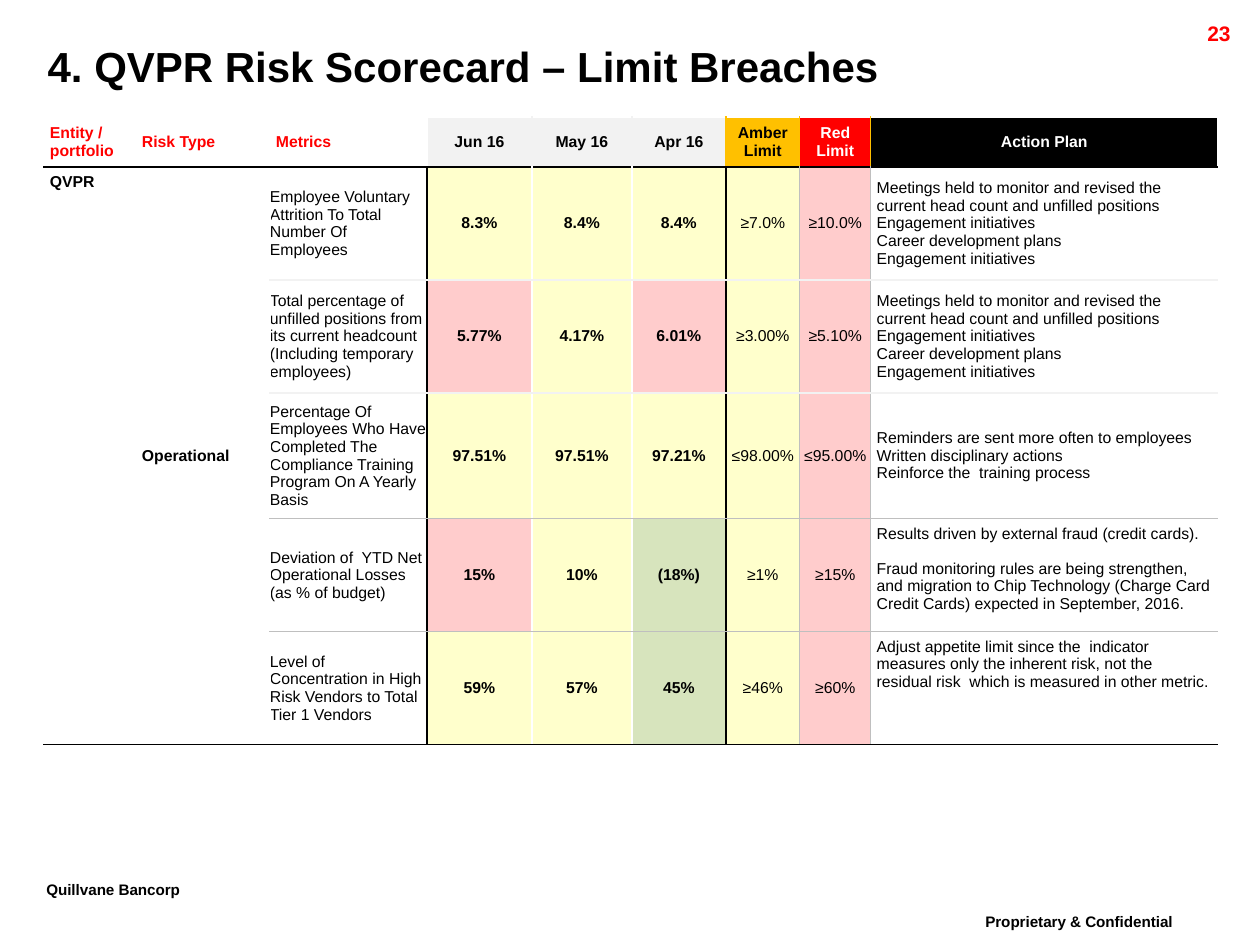
from typing import NamedTuple, Optional

from lxml import etree
from pptx import Presentation
from pptx import util as u
from pptx.dml.color import RGBColor
from pptx.enum import text
from pptx.oxml.ns import qn

SCALE = 914400 / 126
FONT = "Arial"
BLACK, WHITE, RED = "000000", "FFFFFF", "FF0000"
GREY, PALE, GOLD = "BFBFBF", "F2F2F2", "FFC000"
YELLOW, PINK, GREEN = "FFFFCC", "FFCCCC", "D7E4BD"
LEFT, CENTER, RIGHT = text.PP_ALIGN.LEFT, text.PP_ALIGN.CENTER, text.PP_ALIGN.RIGHT
TOP, MIDDLE = text.MSO_ANCHOR.TOP, text.MSO_ANCHOR.MIDDLE
COLUMNS = [92, 134, 157, 105, 100, 94, 74, 71, 347]
ROWS = [47, 50, 113, 113, 126, 113, 113]


class Line(NamedTuple):
    color: Optional[str] = None
    width: float = 1


class Heading(NamedTuple):
    label: str
    color: str = RED
    fill: Optional[str] = None
    align: text.PP_ALIGN = CENTER


class Metric(NamedTuple):
    name: str
    months: list[str]
    fills: list[str]
    limits: list[str]
    plan: list[str]
    anchor: text.MSO_ANCHOR = MIDDLE


class Label(NamedTuple):
    words: str
    left: int
    top: int
    width: int
    height: int
    size: int
    color: str = BLACK
    align: text.PP_ALIGN = LEFT
    raised: bool = False
    wrap: bool = True


HEADINGS = [
    Heading("Entity / portfolio", align=LEFT),
    Heading("Risk Type", align=LEFT),
    Heading("Metrics", align=LEFT),
    Heading("Jun 16", BLACK, PALE),
    Heading("May 16", BLACK, PALE),
    Heading("Apr 16", BLACK, PALE),
    Heading("Amber Limit", BLACK, GOLD),
    Heading("Red Limit", WHITE, RED),
    Heading("Action Plan", WHITE, BLACK),
]
STAFF_PLAN = [
    "Meetings held to monitor and revised the current head count and unfilled positions",
    "Engagement initiatives", "Career development plans", "Engagement initiatives",
]
METRICS = [
    Metric("Employee Voluntary Attrition To Total Number Of Employees",
           ["8.3%", "8.4%", "8.4%"], [YELLOW] * 3, ["≥7.0%", "≥10.0%"], STAFF_PLAN),
    Metric("Total percentage of unfilled positions from its current headcount "
           "(Including temporary employees)",
           ["5.77%", "4.17%", "6.01%"], [PINK, YELLOW, PINK], ["≥3.00%", "≥5.10%"], STAFF_PLAN),
    Metric("Percentage Of Employees Who Have Completed The Compliance Training "
           "Program On A Yearly Basis",
           ["97.51%", "97.51%", "97.21%"], [YELLOW] * 3, ["≤98.00%", "≤95.00%"],
           ["Reminders are sent more often to employees", "Written disciplinary actions",
            "Reinforce the  training process"]),
    Metric("Deviation of  YTD Net Operational Losses (as % of budget)",
           ["15%", "10%", "(18%)"], [PINK, YELLOW, GREEN], ["≥1%", "≥15%"],
           ["Results driven by external fraud (credit cards).",
            "Fraud monitoring rules are being strengthen, and migration to Chip Technology "
            "(Charge Card Credit Cards) expected in September, 2016."], TOP),
    Metric("Level of Concentration in High Risk Vendors to Total Tier 1 Vendors",
           ["59%", "57%", "45%"], [YELLOW, YELLOW, GREEN], ["≥46%", "≥60%"],
           ["Adjust appetite limit since the  indicator measures only the inherent risk, "
            "not the residual risk  which is measured in other metric."], TOP),
]
LABELS = [
    Label("Proprietary & Confidential", 973, 903, 275, 44, 15, raised=True),
    Label("Quillvane Bancorp", 34, 871, 188, 44, 15, raised=True, wrap=False),
    Label("23", 1123, 14, 120, 30, 12, RED, RIGHT),
]

HAIR = Line(GREY, 0.75)
TOP_EDGES = [Line()] * 10
HEADER_EDGES = [Line(c) for c in [WHITE] * 4 + [PALE] * 2 + [GOLD] * 3 + [WHITE]]
BODY_EDGES = [Line(c) for c in [WHITE] * 3 + [BLACK, WHITE, WHITE, BLACK]] + [HAIR, HAIR, Line(WHITE)]
ROW_EDGES = [Line(), Line(WHITE), Line(BLACK), Line(PALE, 1.5), Line(PALE, 1.5),
             HAIR, HAIR, Line(BLACK)]


def px(length: int) -> u.Emu:
    """Turn whole pixels into EMU."""
    return u.Emu(round(length * SCALE))


def rgb(value: str) -> RGBColor:
    """Turn a hex string into a colour."""
    return RGBColor.from_string(value)


def write(frame, words: list[str], size: int, color: str, bold: bool, align, gap: int = 0) -> None:
    """Fill a text frame with evenly formatted paragraphs."""
    for number, line in enumerate(words):
        para = frame.add_paragraph() if number else frame.paragraphs[0]
        para.text = line
        para.alignment = align
        if number and gap:
            para.space_before = u.Pt(gap)
        para.font.name, para.font.size, para.font.bold = FONT, u.Pt(size), bold
        para.font.color.rgb = rgb(color)


def add_label(page, label: Label) -> None:
    """Add a bold text box, raised like a superscript if asked."""
    box = page.shapes.add_textbox(*map(px, label[1:5]))
    box.text_frame.word_wrap = label.wrap
    write(box.text_frame, [label.words], label.size, label.color, True, label.align)
    if label.raised:
        span = box.text_frame.paragraphs[0].runs[0]
        span._r.get_or_add_rPr().set("baseline", "30000")


def set_borders(cell, row: int, column: int) -> None:
    """Give a cell its four lines from the row and column rules."""
    sides = (TOP_EDGES, HEADER_EDGES)[row] if row < 2 else BODY_EDGES
    top, bottom = ROW_EDGES[row], ROW_EDGES[row + 1]
    if row >= 2 and column < 2:
        top = bottom = Line(BLACK)
    props = cell._tc.get_or_add_tcPr()
    for tag, line in zip("LRTB", (sides[column], sides[column + 1], top, bottom)):
        edge = etree.SubElement(props, qn(f"a:ln{tag}"), w=str(u.Pt(line.width)))
        if line.color:
            fill = etree.SubElement(edge, qn("a:solidFill"))
            etree.SubElement(fill, qn("a:srgbClr"), val=line.color)
        else:
            etree.SubElement(edge, qn("a:noFill"))


def set_margins(cell, inset: int) -> None:
    """Give a cell equal margins on all sides."""
    cell.margin_left = cell.margin_right = cell.margin_top = cell.margin_bottom = px(inset)


def fill_cell(cell, words: list[str], fill: Optional[str] = None, color: str = BLACK,
              bold: bool = False, align=LEFT, anchor=MIDDLE, inset: int = 6, gap: int = 0) -> None:
    """Write a table cell and paint its background."""
    set_margins(cell, inset)
    cell.vertical_anchor = anchor
    write(cell.text_frame, words, 9, color, bold, align, gap)
    if fill:
        cell.fill.solid()
        cell.fill.fore_color.rgb = rgb(fill)


def add_scorecard(page) -> None:
    """Add the table of limit breaches."""
    frame = page.shapes.add_table(len(ROWS), len(COLUMNS), px(44), px(70), px(sum(COLUMNS)), px(sum(ROWS)))
    table = frame.table
    table.first_row = table.horz_banding = False
    for column, width in zip(table.columns, COLUMNS):
        column.width = px(width)
    for row, height in zip(table.rows, ROWS):
        row.height = px(height)
    for row in range(len(ROWS)):
        for column in range(len(COLUMNS)):
            cell = table.cell(row, column)
            set_borders(cell, row, column)
            set_margins(cell, 0)
            cell.fill.background()
    table.cell(0, 0).merge(table.cell(0, 7))
    for column, head in enumerate(HEADINGS):
        fill_cell(table.cell(1, column), [head.label], head.fill, head.color, True, head.align)
    for column, (words, anchor) in enumerate([("QVPR", TOP), ("Operational", MIDDLE)]):
        table.cell(2, column).merge(table.cell(6, column))
        fill_cell(table.cell(2, column), [words], bold=True, anchor=anchor)
    for row, metric in enumerate(METRICS, 2):
        fill_cell(table.cell(row, 2), [metric.name], inset=0)
        values = zip(metric.months + metric.limits, metric.fills + [YELLOW, PINK])
        for column, (value, fill) in enumerate(values, 3):
            fill_cell(table.cell(row, column), [value], fill, bold=column < 6, align=CENTER, inset=0)
        fill_cell(table.cell(row, 8), metric.plan, anchor=metric.anchor,
                  gap=10 if metric.anchor == TOP else 0)


def main() -> None:
    """Build the slide and save it."""
    deck = Presentation()
    deck.slide_width, deck.slide_height = px(1260), px(945)
    page = deck.slides.add_slide(deck.slide_layouts[5])
    title = page.shapes.title
    title.left, title.top, title.width, title.height = map(px, (35, 34, 1225, 63))
    title.text_frame.auto_size = text.MSO_AUTO_SIZE.NONE
    title.text_frame.vertical_anchor = MIDDLE
    write(title.text_frame, ["4. QVPR Risk Scorecard – Limit Breaches"], 24, BLACK, True, LEFT)
    add_scorecard(page)
    for label in LABELS:
        add_label(page, label)
    deck.save("out.pptx")


if __name__ == "__main__":
    main()
